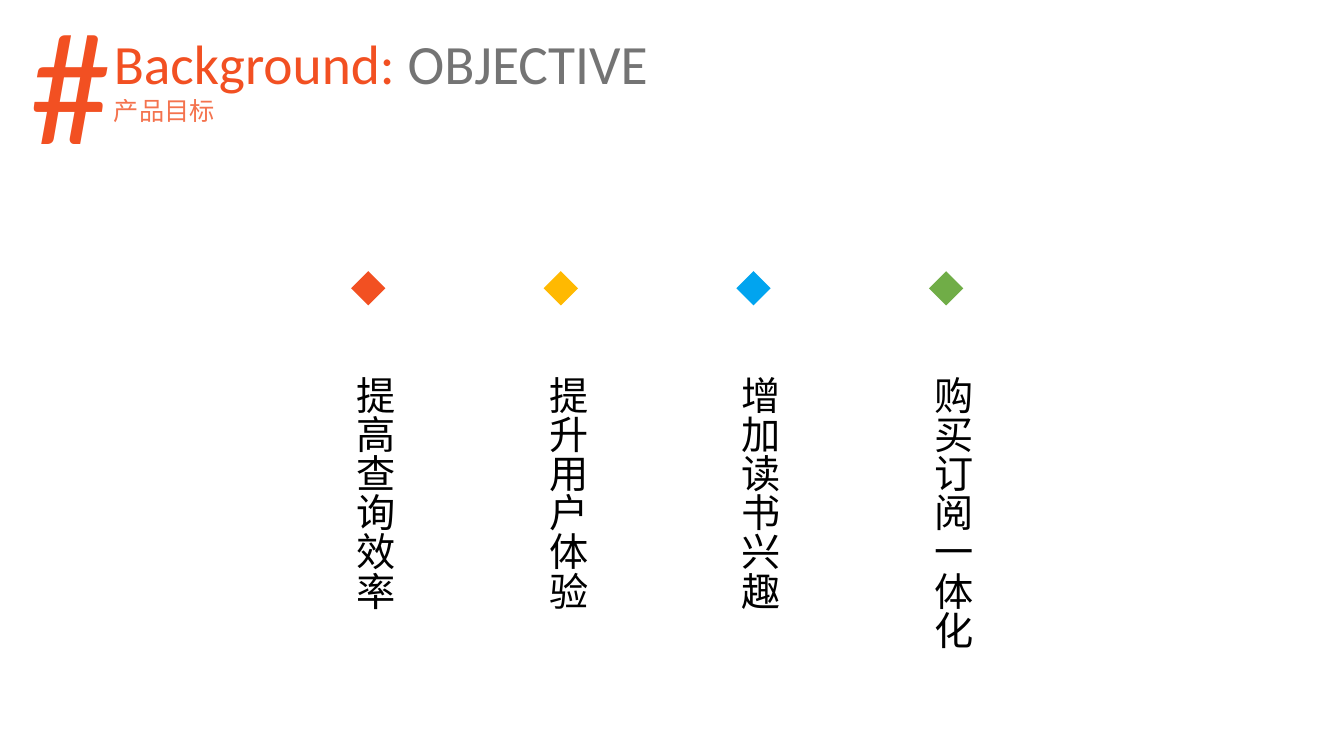
from dataclasses import dataclass
from lxml import etree
from pptx import Presentation
from pptx import util as u
from pptx.dml import color
from pptx.enum import shapes, text
from pptx.oxml import ns


@dataclass
class Theme:
    red: str = "F25022"
    gold: str = "FFB901"
    blue: str = "01A4EF"
    green: str = "70AD47"
    grey: str = "747474"
    black: str = "000000"
    latin: str = "Calibri"
    asian: str = "Noto Sans CJK SC"
    title: float = 39.6
    hash: float = 115
    goal: float = 28
    sub: float = 18


class Deck:
    def __init__(self, theme):
        self.theme = theme
        self.prs = Presentation()
        self.prs.slide_width, self.prs.slide_height = u.Pt(960), u.Pt(540)
        self.slide = self.prs.slides.add_slide(self.prs.slide_layouts[6])

    def style(self, run, size, tint, face, alpha=None):
        font = run.font
        font.size, font.name = u.Pt(size), face
        font.color.rgb = color.RGBColor.from_string(tint)
        props = run._r.get_or_add_rPr()
        asian = etree.SubElement(props, ns.qn("a:ea"))
        asian.set("typeface", self.theme.asian)
        if alpha:
            tone = props.find(ns.qn("a:solidFill"))[0]
            etree.SubElement(tone, ns.qn("a:alpha")).set("val", str(alpha * 1000))

    def label(self, box, parts, size, face, space=None, alpha=None,
              middle=False, grow=False, upright=False):
        shape = self.slide.shapes.add_textbox(*map(u.Pt, box))
        frame = shape.text_frame
        frame.word_wrap = True
        if middle:
            frame.vertical_anchor = text.MSO_ANCHOR.MIDDLE
        if grow:
            frame.auto_size = text.MSO_AUTO_SIZE.SHAPE_TO_FIT_TEXT
        if upright:
            frame._txBody.bodyPr.set("vert", "eaVert")
        para = frame.paragraphs[0]
        if space:
            para.line_spacing = space
        for words, tint in parts:
            run = para.add_run()
            run.text = words
            self.style(run, size, tint, face, alpha)

    def diamond(self, left, top, size, tint):
        shape = self.slide.shapes.add_shape(
            shapes.MSO_SHAPE.DIAMOND, *map(u.Pt, (left, top, size, size)))
        shape.shadow.inherit = False
        shape.fill.solid()
        shape.fill.fore_color.rgb = color.RGBColor.from_string(tint)
        shape.line.fill.background()


def main():
    look = Theme()
    deck = Deck(look)

    # Heading
    deck.label((74.2, 15.8, 417.6, 63.4),
               [("Background: ", look.red), ("OBJECTIVE", look.grey)],
               look.title, look.latin, space=0.9, middle=True)
    deck.label((14.4, 15.8, 59.8, 100.8), [("#", look.red)],
               look.hash, look.latin, space=0.9, middle=True)
    deck.label((74.2, 64.8, 92.2, 28.8), [("产品目标", look.red)],
               look.sub, look.latin, alpha=80, grow=True)

    # Goals: a diamond above each vertical line of text
    goals = [("提高查询效率", look.red, 196.6),
             ("提升用户体验", look.gold, 196.6),
             ("增加读书兴趣", look.blue, 196.6),
             ("购买订阅一体化", look.green, 212.4)]
    for index, (words, tint, height) in enumerate(goals):
        left = 239.8 + index * 137.6
        deck.label((left, 261.4, 48.2, height), [(words, look.black)],
                   look.goal, look.asian, grow=True, upright=True)
        deck.diamond(left + 11, 193.7, 24.5, tint)

    deck.prs.save("out.pptx")


if __name__ == "__main__":
    main()
